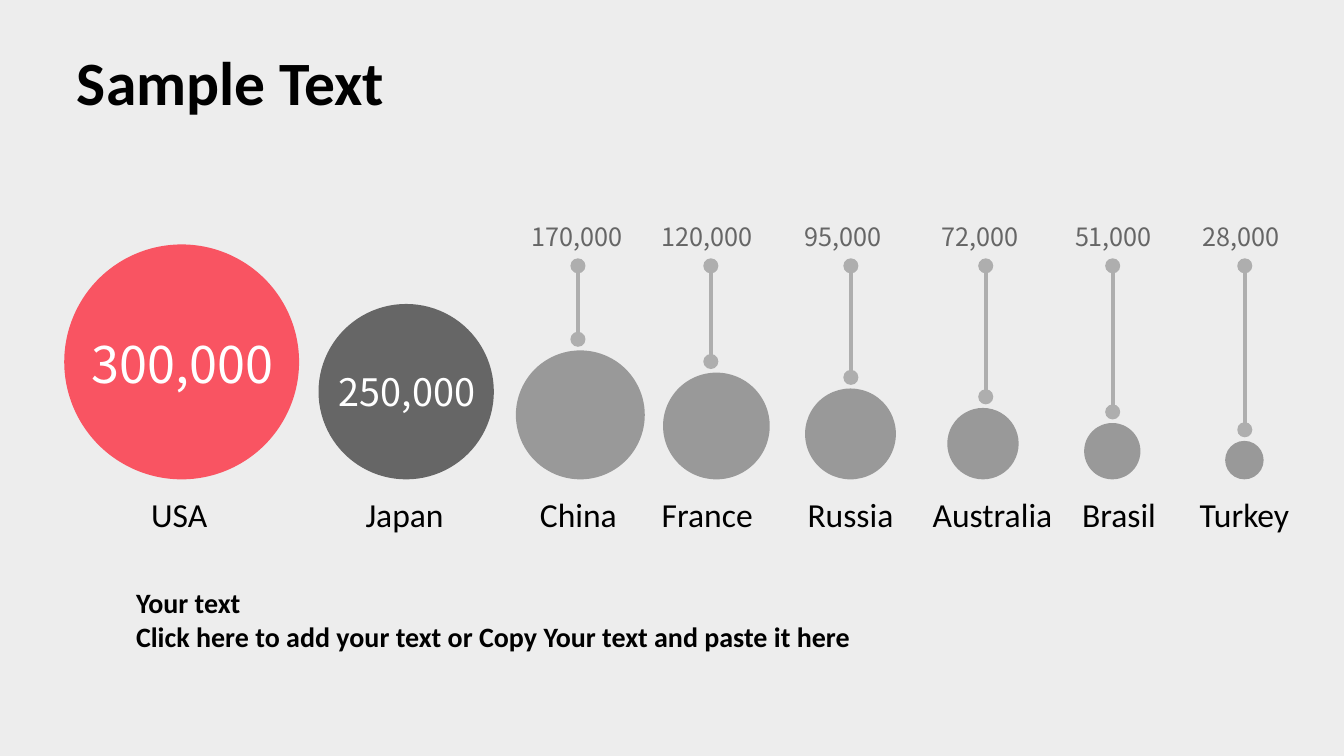
from typing import NamedTuple, Optional

from lxml.etree import SubElement
from pptx import Presentation
from pptx.dml.color import RGBColor
from pptx.enum.shapes import MSO_CONNECTOR, MSO_SHAPE
from pptx.enum.text import MSO_ANCHOR, MSO_AUTO_SIZE, PP_ALIGN
from pptx.oxml.ns import qn
from pptx.util import Cm, Pt

BACKGROUND = RGBColor(0xED, 0xED, 0xED)
BLACK = RGBColor(0x00, 0x00, 0x00)
WHITE = RGBColor(0xFF, 0xFF, 0xFF)
RED = RGBColor(0xF9, 0x54, 0x62)
DARK_GREY = RGBColor(0x66, 0x66, 0x66)
GREY = RGBColor(0x99, 0x99, 0x99)
STEM_GREY = RGBColor(0xAE, 0xAE, 0xAE)

TEXT_FONT = "Calibri"
NUMBER_FONT = "Noto Sans CJK JP"

# Lengths in centimetres
BASELINE = 12.08
STEM_TOP = 6.7
STEM_GAP = 0.28
DOT = 0.38
VALUE_TOP = 5.45
VALUE_WIDTH = 3.6
INNER_WIDTH = 7.62
LABEL_TOP = 12.32


class Country(NamedTuple):
    """A bubble with its centre lines; one without a stem holds its value inside."""
    name: str
    value: str
    diameter: float
    circle_x: float
    value_x: float
    label_x: float
    label_width: float
    color: RGBColor = GREY
    stem_x: Optional[float] = None
    value_size: int = 18
    value_top: float = VALUE_TOP


COUNTRIES = [
    Country("USA", "300,000", 5.92, 4.58, 4.6, 4.52, 2.08, RED,
            value_size=36, value_top=8.26),
    Country("Japan", "250,000", 4.42, 10.24, 10.26, 10.2, 2.51, DARK_GREY,
            value_size=27, value_top=9.17),
    Country("China", "170,000", 3.25, 14.63, 14.55, 14.58, 2.49, stem_x=14.57),
    Country("France", "120,000", 2.69, 18.06, 17.83, 17.83, 3.15, stem_x=17.92),
    Country("Russia", "95,000", 2.29, 21.44, 21.26, 21.44, 2.69, stem_x=21.45),
    Country("Australia", "72,000", 1.8, 24.78, 24.71, 25.02, 3.76, stem_x=24.85),
    Country("Brasil", "51,000", 1.42, 28.04, 28.07, 28.21, 2.57, stem_x=28.05),
    Country("Turkey", "28,000", 0.97, 31.37, 31.29, 31.37, 2.95, stem_x=31.38),
]


def format_text(sp, text: str, size: int, font: str, color: RGBColor,
                bold: bool = False, align: PP_ALIGN = PP_ALIGN.CENTER) -> None:
    tf = sp.text_frame
    tf.text = text
    tf.word_wrap = True
    tf.auto_size = MSO_AUTO_SIZE.NONE
    tf.vertical_anchor = MSO_ANCHOR.TOP
    for p in tf.paragraphs:
        p.alignment = align
        for r in p.runs:
            r.font.size = Pt(size)
            r.font.name = font
            r.font.bold = bold
            r.font.color.rgb = color


def add_centred_text(slide, x: float, top: float, width: float, text: str,
                     size: int, font: str, color: RGBColor) -> None:
    height = 0.13 * 2 + size * 0.042
    sp = slide.shapes.add_textbox(Cm(x - width / 2), Cm(top), Cm(width), Cm(height))
    format_text(sp, text, size, font, color)


def add_disc(slide, x: float, y: float, diameter: float, color: RGBColor,
             preset: MSO_SHAPE = MSO_SHAPE.OVAL) -> None:
    """Draw a filled disc centred on x, y."""
    sp = slide.shapes.add_shape(preset, Cm(x - diameter / 2), Cm(y - diameter / 2),
                                Cm(diameter), Cm(diameter))
    sp.shadow.inherit = False
    sp.fill.solid()
    sp.fill.fore_color.rgb = color
    sp.line.fill.background()


def add_stem(slide, x: float, bottom: float) -> None:
    """Draw a vertical line with a dot at each end."""
    line = slide.shapes.add_connector(MSO_CONNECTOR.STRAIGHT, Cm(x), Cm(STEM_TOP),
                                      Cm(x), Cm(bottom))
    line.line.color.rgb = STEM_GREY
    line.line.width = Pt(3)
    SubElement(line._element.spPr, qn("a:effectLst"))
    for y in (STEM_TOP, bottom):
        add_disc(slide, x, y, DOT, STEM_GREY, MSO_SHAPE.FLOWCHART_CONNECTOR)


def add_country(slide, country: Country) -> None:
    add_disc(slide, country.circle_x, BASELINE - country.diameter / 2,
             country.diameter, country.color)
    inside = country.stem_x is None
    if not inside:
        add_stem(slide, country.stem_x, BASELINE - country.diameter - STEM_GAP)
    add_centred_text(slide, country.value_x, country.value_top,
                     INNER_WIDTH if inside else VALUE_WIDTH, country.value,
                     country.value_size, NUMBER_FONT, WHITE if inside else DARK_GREY)
    add_centred_text(slide, country.label_x, LABEL_TOP, country.label_width,
                     country.name, 24, TEXT_FONT, BLACK)


def main() -> None:
    prs = Presentation()
    prs.slide_width, prs.slide_height = Cm(33.88), Cm(19.05)
    slide = prs.slides.add_slide(prs.slide_layouts[5])
    slide.background.fill.solid()
    slide.background.fill.fore_color.rgb = BACKGROUND

    title = slide.shapes.title
    title.left, title.top, title.width, title.height = Cm(0.79), Cm(0.97), Cm(10.06), Cm(2.13)
    format_text(title, "Sample Text", 44, TEXT_FONT, BLACK, bold=True)

    for country in COUNTRIES:
        add_country(slide, country)

    note = slide.shapes.add_textbox(Cm(3.18), Cm(14.63), Cm(27.5), Cm(1.96))
    format_text(note, "Your text\nClick here to add your text or Copy Your text and paste it here",
                20, TEXT_FONT, BLACK, bold=True, align=PP_ALIGN.LEFT)
    prs.save("out.pptx")


if __name__ == "__main__":
    main()
